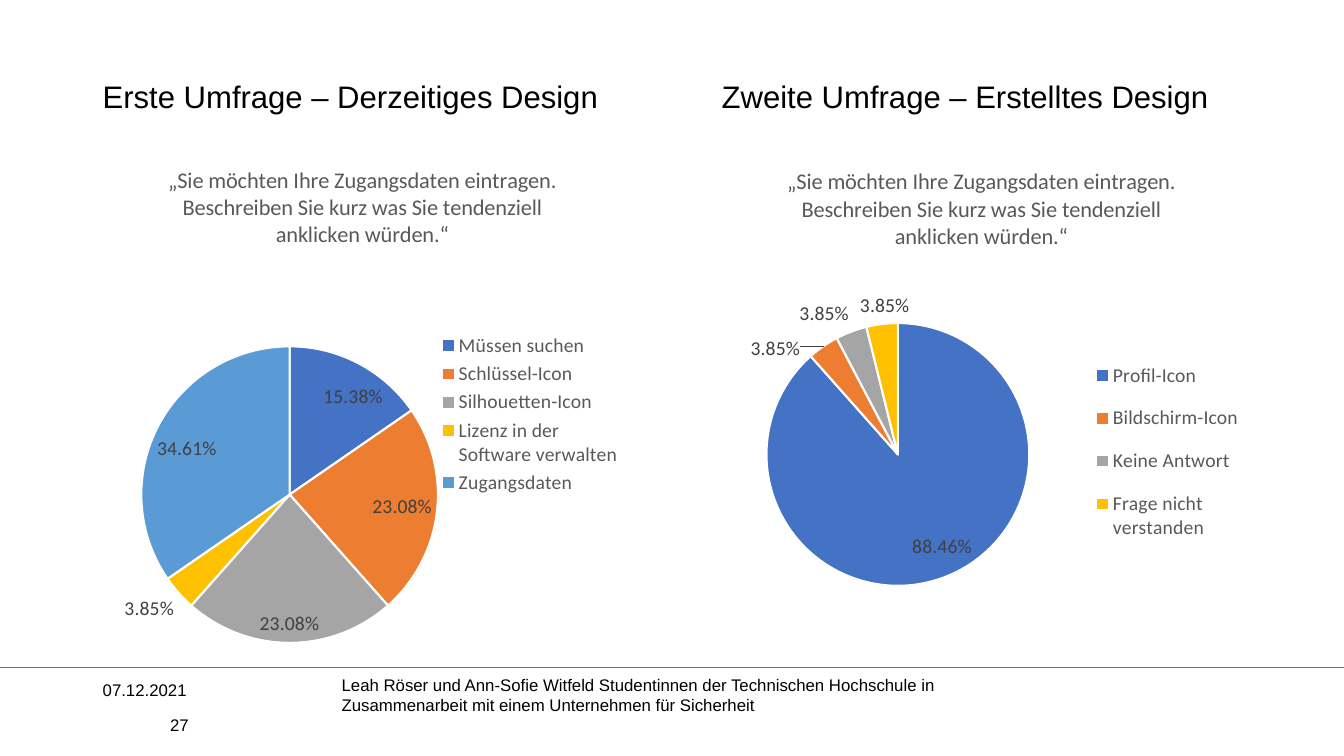
import pptx
import pptx.chart.data
import pptx.dml.color
import pptx.enum.chart
import pptx.enum.shapes
import pptx.enum.text
import pptx.util
import lxml.etree
from pptx.util import Inches

COLORS = {
    "black": "000000", "rule": "767171", "white": "FFFFFF",
    "title": "595959", "label": "404040",
    "slices": ["4472C4", "ED7D31", "A5A5A5", "FFC000", "5B9BD5"],
}
ANCHOR = pptx.enum.text.MSO_ANCHOR
ALIGN = pptx.enum.text.PP_ALIGN
LEGEND = pptx.enum.chart.XL_LEGEND_POSITION
CHART_NS = "{http://schemas.openxmlformats.org/drawingml/2006/chart}"


def add_text(words, box, size, anchor, align=ALIGN.LEFT, spacing=1.0):
    frame = slide.shapes.add_textbox(*map(Inches, box)).text_frame
    frame.word_wrap = True
    frame.vertical_anchor = anchor
    frame.text = words
    line = frame.paragraphs[0]
    line.alignment = align
    line.line_spacing = spacing
    font = line.runs[0].font
    font.name = "Arial"
    font.size = pptx.util.Pt(size)
    font.color.rgb = pptx.dml.color.RGBColor.from_string(COLORS["black"])


def set_layout(parent, index, box, inner=False):
    for old in parent.findall(CHART_NS + "layout"):
        parent.remove(old)
    layout = lxml.etree.Element(CHART_NS + "layout")
    parent.insert(index, layout)
    manual = lxml.etree.SubElement(layout, CHART_NS + "manualLayout")
    settings = [("layoutTarget", "inner")] if inner else []
    settings += [("xMode", "edge"), ("yMode", "edge")]
    settings += zip("xywh", map(str, box))
    for tag, value in settings:
        lxml.etree.SubElement(manual, CHART_NS + tag).set("val", value)


presentation = pptx.Presentation()
presentation.slide_width = Inches(13.33)
presentation.slide_height = Inches(7.5)
slide = presentation.slides.add_slide(presentation.slide_layouts[6])

footer_rule = slide.shapes.add_connector(
    pptx.enum.shapes.MSO_CONNECTOR.STRAIGHT,
    Inches(13.33), Inches(6.62), Inches(0), Inches(6.62))
footer_rule.line.color.rgb = pptx.dml.color.RGBColor.from_string(COLORS["rule"])
footer_rule.line.width = pptx.util.Pt(0.5)
lxml.etree.SubElement(
    footer_rule._element.spPr,
    "{http://schemas.openxmlformats.org/drawingml/2006/main}effectLst")

surveys = [
    {
        "heading": "Erste Umfrage – Derzeitiges Design",
        "left": 0.92,
        "question": "„Sie möchten Ihre Zugangsdaten eintragen.\n"
                    "Beschreiben Sie kurz was Sie tendenziell anklicken würden.“",
        "answers": {"Müssen suchen": 0.1538, "Schlüssel-Icon": 0.2308,
                    "Silhouetten-Icon": 0.2308,
                    "Lizenz in der Software verwalten": 0.0385,
                    "Zugangsdaten": 0.3461},
        "pie": (0.09, 0.37, 0.55, 0.56),
        "legend": LEGEND.RIGHT,
        "legend_box": None,
    },
    {
        "heading": "Zweite Umfrage – Erstelltes Design",
        "left": 7.06,
        "question": "„Sie möchten Ihre Zugangsdaten eintragen. "
                    "Beschreiben Sie kurz was Sie tendenziell anklicken würden.“",
        "answers": {"Profil-Icon": 0.8846, "Bildschirm-Icon": 0.0385,
                    "Keine Antwort": 0.0385, "Frage nicht verstanden": 0.0385},
        "pie": (0.1, 0.33, 0.49, 0.49),
        "legend": LEGEND.BOTTOM,
        "legend_box": (0.7, 0.37, 0.29, 0.4),
    },
]

for survey in surveys:
    add_text(survey["heading"], (survey["left"], 0.52, 5.37, 0.67), 22.2,
             ANCHOR.BOTTOM, spacing=0.9)

    results = pptx.chart.data.CategoryChartData(number_format="0.00%")
    results.categories = list(survey["answers"])
    results.add_series(survey["question"], list(survey["answers"].values()))
    chart = slide.shapes.add_chart(
        pptx.enum.chart.XL_CHART_TYPE.PIE, Inches(survey["left"]), Inches(1.45),
        Inches(5.35), Inches(5.32), results).chart
    chart.font.name = "Calibri"
    chart.font.size = pptx.util.Pt(10)

    chart.has_title = True
    question = chart.chart_title.text_frame
    question.text = survey["question"]
    chart.has_legend = True
    chart.legend.position = survey["legend"]
    chart.legend.include_in_layout = False

    pie = chart.plots[0]
    pie.vary_by_categories = True
    pie.has_data_labels = True
    labels = pie.data_labels
    labels.show_value = True
    labels.show_percentage = False
    labels.number_format = "0.00%"
    labels.number_format_is_linked = False
    labels.position = pptx.enum.chart.XL_LABEL_POSITION.BEST_FIT

    styles = [(line.runs[0].font, 16, "title") for line in question.paragraphs]
    styles += [(chart.legend.font, 14, "title"), (labels.font, 14, "label")]
    for font, size, color in styles:
        font.name = "Calibri"
        font.size = pptx.util.Pt(size)
        font.bold = False
        font.color.rgb = pptx.dml.color.RGBColor.from_string(COLORS[color])

    for number, color in zip(range(len(survey["answers"])), COLORS["slices"]):
        piece = pie.series[0].points[number].format
        piece.fill.solid()
        piece.fill.fore_color.rgb = pptx.dml.color.RGBColor.from_string(color)
        piece.line.color.rgb = pptx.dml.color.RGBColor.from_string(COLORS["white"])
        piece.line.width = pptx.util.Pt(1.5)

    plot_area = chart._chartSpace.find(f".//{CHART_NS}plotArea")
    set_layout(plot_area, 0, survey["pie"], inner=True)
    if survey["legend_box"]:
        set_layout(chart.legend._element, 1, survey["legend_box"])

add_text("07.12.2021", (0.92, 6.68, 1.05, 0.32), 12, ANCHOR.MIDDLE)
add_text("Leah Röser und Ann-Sofie Witfeld Studentinnen der Technischen Hochschule "
         "in Zusammenarbeit mit einem Unternehmen für Sicherheit",
         (3.29, 6.56, 6.76, 0.67), 12, ANCHOR.MIDDLE)
add_text("27", (0.92, 7.03, 1.05, 0.32), 12, ANCHOR.MIDDLE, ALIGN.RIGHT)

presentation.save("out.pptx")
